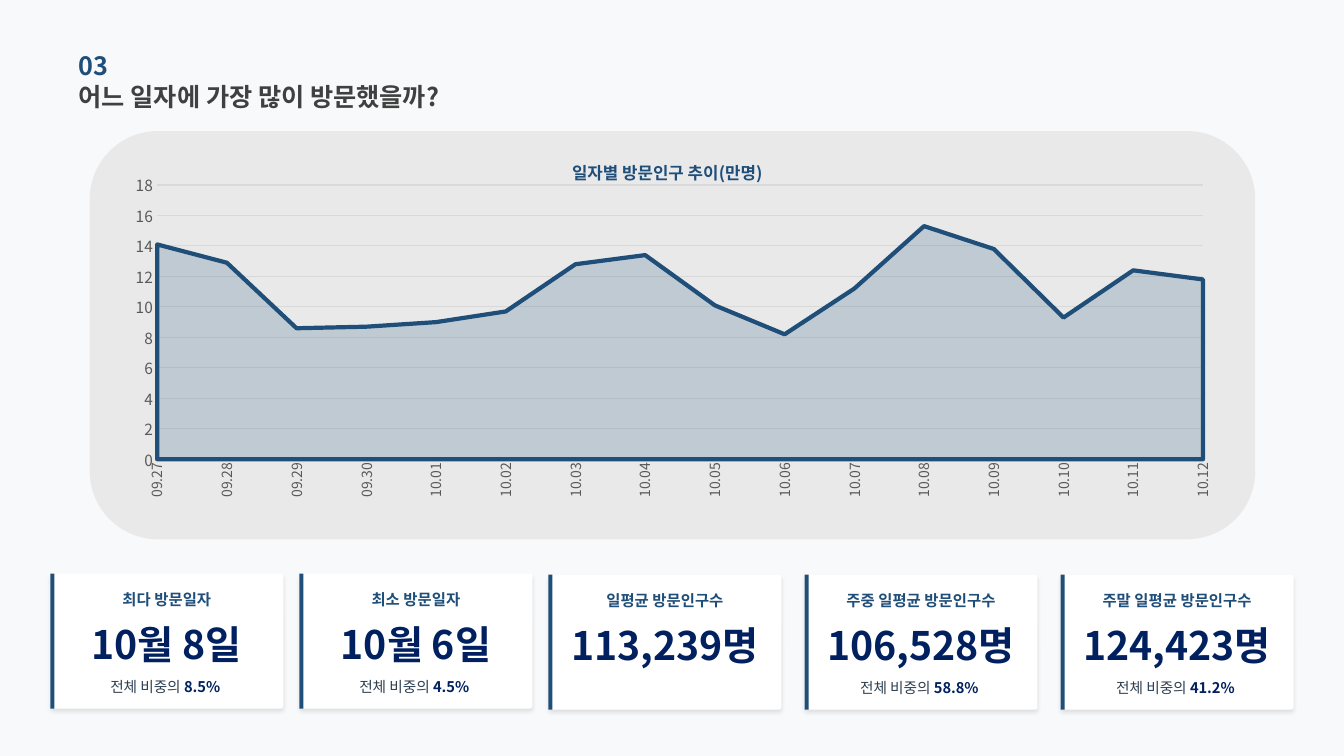
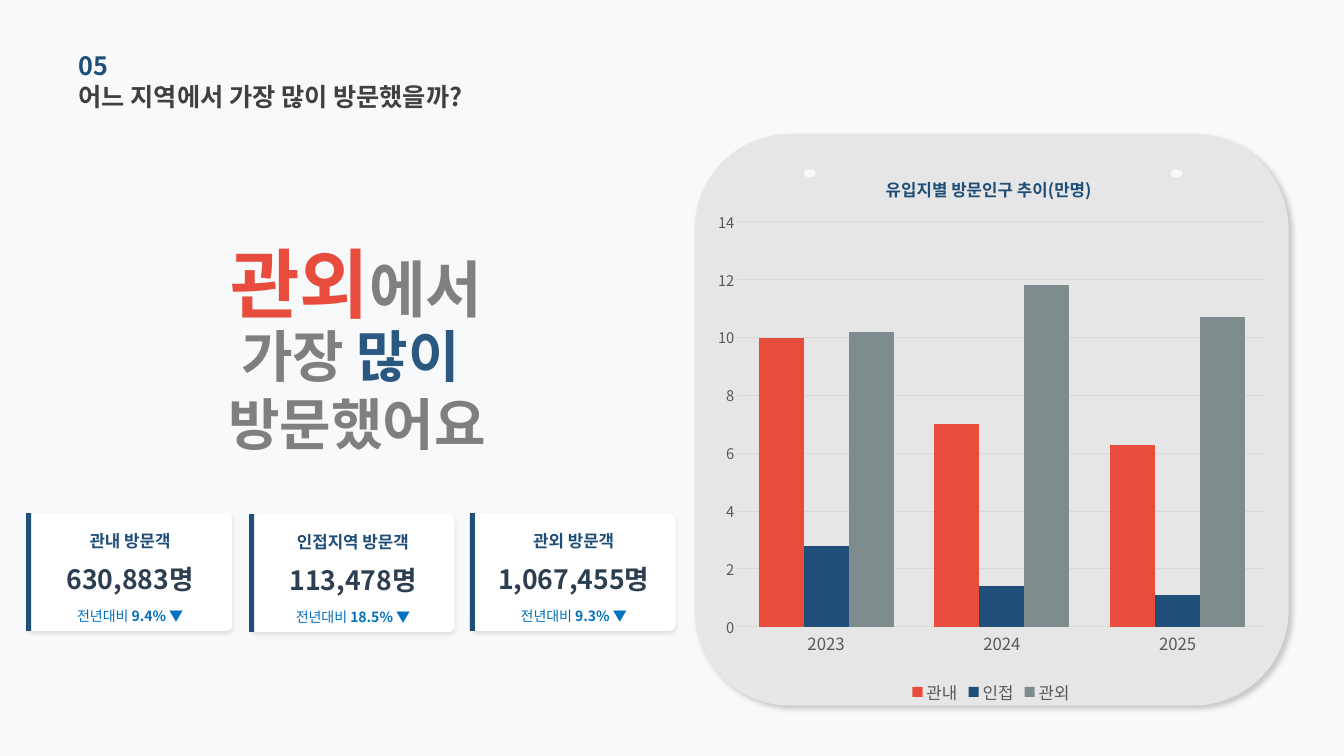
from lxml import etree
from pptx import Presentation
from pptx import util as u
from pptx.chart.data import CategoryChartData
from pptx.dml.color import RGBColor
from pptx.enum import chart as ch, shapes, text
from pptx.oxml.ns import qn

PX = 9144  # 100 px to the inch
FONT = "Noto Sans CJK KR"
PAPER = RGBColor(0xF8, 0xF9, 0xFA)
WHITE = RGBColor(0xFF, 0xFF, 0xFF)
BLUE = RGBColor(0x1F, 0x4E, 0x79)
NAVY = RGBColor(0x00, 0x20, 0x60)
SKY = RGBColor(0x00, 0x70, 0xC0)
STEEL = RGBColor(0x2B, 0x58, 0x80)
SLATE = RGBColor(0x2C, 0x3E, 0x50)
DARK = RGBColor(0x40, 0x40, 0x40)
LABEL = RGBColor(0x59, 0x59, 0x59)
GRAY = RGBColor(0x80, 0x80, 0x80)
MID = RGBColor(0x7F, 0x7F, 0x7F)
GRID = RGBColor(0xD9, 0xD9, 0xD9)
SILVER = RGBColor(0xD0, 0xCE, 0xCE)
PANEL = RGBColor(0xE7, 0xE6, 0xE6)
RED = RGBColor(0xE7, 0x4C, 0x3C)
ASH = RGBColor(0x7F, 0x8C, 0x8D)
FORM = shapes.MSO_SHAPE
MID_ALIGN = text.PP_ALIGN.CENTER


def block(slide, form, box, fill, shadow=None):
    """Draw a plain shape; shadow is (opacity %, blur pt, distance pt, angle)."""
    shape = slide.shapes.add_shape(form, *[n * PX for n in box])
    shape.shadow.inherit = False
    shape.fill.solid()
    shape.fill.fore_color.rgb = fill
    shape.line.fill.background()
    if shadow:
        alpha, blur, dist, angle = shadow
        effects = shape._element.spPr.find(qn("a:effectLst"))
        outer = etree.SubElement(
            effects, qn("a:outerShdw"), blurRad=str(u.Pt(blur)),
            dist=str(u.Pt(dist)), dir=str(angle * 60000), rotWithShape="0")
        tint = etree.SubElement(outer, qn("a:srgbClr"), val="000000")
        etree.SubElement(tint, qn("a:alpha"), val=str(alpha * 1000))
    return shape


def write(slide, box, *lines, align=None):
    """Each line is a list of runs: (words, size, colour, bold)."""
    frame = slide.shapes.add_textbox(*[n * PX for n in box]).text_frame
    frame.word_wrap = True
    frame.vertical_anchor = text.MSO_ANCHOR.MIDDLE
    frame.margin_left = frame.margin_right = 0
    frame.margin_top = frame.margin_bottom = 0
    for i, line in enumerate(lines):
        para = frame.add_paragraph() if i else frame.paragraphs[0]
        para.alignment = align
        for words, size, color, bold in line:
            run = para.add_run()
            run.text = words
            run.font.name = FONT
            run.font.size = u.Pt(size)
            run.font.bold = bold
            run.font.color.rgb = color


prs = Presentation()
prs.slide_width, prs.slide_height = 1333 * PX, 750 * PX

# Background and heading
pages = []
for num, title in [("03", "어느 일자에 가장 많이 방문했을까?"),
                   ("05", "어느 지역에서 가장 많이 방문했을까?")]:
    page = prs.slides.add_slide(prs.slide_layouts[6])
    page.background.fill.solid()
    page.background.fill.fore_color.rgb = PAPER
    write(page, (78, 75, 528, 41), [(title, 18, DARK, True)])
    write(page, (78, 44, 452, 41), [(num, 18, BLUE, True)])
    pages.append(page)
days, areas = pages

# Panels behind the charts
panel = block(days, FORM.ROUNDED_RECTANGLE, (89, 130, 1156, 405), SILVER)
tint = next(panel.fill._xPr.iter(qn("a:srgbClr")))
etree.SubElement(tint, qn("a:alpha"), val="36000")
block(areas, FORM.ROUNDED_RECTANGLE, (689, 133, 589, 567), PANEL, (20, 4, 3, 45))
for x in (797, 1161):
    block(areas, FORM.OVAL, (x, 168, 12, 8), PAPER)

# Headline
write(areas, (139, 256, 429, 48),
      [("관외", 54, RED, True), ("에서", 44, GRAY, True)], align=MID_ALIGN)
write(areas, (78, 344, 552, 84),
      [("가장", 40, MID, True), (" 많이 ", 40, STEEL, True)],
      [("방문했어요", 40, MID, True)], align=MID_ALIGN)

# Number cards
share, change = "전체 비중의 ", "전년대비 "
sets = [
    dict(page=days, wide=231, high=134, curve=0.018, bar=(0, 4),
         rows=[(15, 22, 11, BLUE), (51, 38, 28, NAVY), (102, 21, 10.5, SLATE)],
         mark=NAVY,
         cards=[(50, 569, "최다 방문일자", "10월 8일", share, "8.5% "),
                (297, 569, "최소 방문일자", "10월 6일", share, "4.5% "),
                (544, 570, "일평균 방문인구수", "113,239명", "", ""),
                (798, 570, "주중 일평균 방문인구수", "106,528명", share, "58.8% "),
                (1052, 570, "주말 일평균 방문인구수", "124,423명", share, "41.2% ")]),
    dict(page=areas, wide=202, high=117, curve=0.048, bar=(-2, 5),
         rows=[(16, 22, 12, BLUE), (48, 34, 19, SLATE), (92, 20, 10, SKY)],
         mark=SKY,
         cards=[(28, 509, "관내 방문객", "630,883명", change, "9.4% ▼"),
                (249, 510, "인접지역 방문객", "113,478명", change, "18.5% ▼"),
                (468, 509, "관외 방문객", "1,067,455명", change, "9.3% ▼")]),
]
for kit in sets:
    page, wide, high = kit["page"], kit["wide"], kit["high"]
    shift, thick = kit["bar"]
    for x, y, name, count, note, rate in kit["cards"]:
        card = block(page, FORM.ROUNDED_RECTANGLE, (x, y, wide, high), WHITE,
                     (10, 3, 2, 90))
        card.adjustments[0] = kit["curve"]
        block(page, FORM.RECTANGLE, (x + shift, y, thick, high), BLUE)
        for words, (down, tall, size, color) in zip((name, count, note), kit["rows"]):
            if not words:
                continue
            runs = [(words, size, color, words != note)]
            if words == note:
                runs.append((rate, size, kit["mark"], True))
            write(page, (x, y + down, wide, tall), runs, align=MID_ALIGN)

# Charts
dates = [f"09.{d}" for d in range(27, 31)] + [f"10.{d:02}" for d in range(1, 13)]
plans = [
    dict(page=days, kind=ch.XL_CHART_TYPE.AREA, box=(108, 133, 1113, 408),
         title="일자별 방문인구 추이(만명)", spot=(0.41, 0.05),
         plot=(0.043, 0.124, 0.932, 0.667), top=18, sizes=(10, 11), cats=dates,
         rows=[("Series 1", BLUE, (14.1, 12.9, 8.6, 8.7, 9, 9.7, 12.8, 13.4, 10.1,
                                   8.2, 11.2, 15.3, 13.8, 9.3, 12.4, 11.8))]),
    dict(page=areas, kind=ch.XL_CHART_TYPE.COLUMN_CLUSTERED, box=(700, 148, 566, 555),
         title="유입지별 방문인구 추이(만명)", spot=(0.31, 0.04),
         plot=(0.057, 0.13, 0.924, 0.724), top=14, sizes=(12, 10.5),
         cats=["2023", "2024", "2025"],
         rows=[("관내", RED, (10, 7, 6.3)), ("인접", BLUE, (2.8, 1.4, 1.1)),
               ("관외", ASH, (10.2, 11.8, 10.7))]),
]
charts = []
for plan in plans:
    data = CategoryChartData()
    data.categories = plan["cats"]
    for name, color, vals in plan["rows"]:
        data.add_series(name, vals)
    box = [n * PX for n in plan["box"]]
    chart = plan["page"].shapes.add_chart(plan["kind"], *box, data).chart
    charts.append(chart)
    chart.font.name = FONT
    chart.font.size = u.Pt(10)
    chart.has_legend = False

    chart.has_title = True
    run = chart.chart_title.text_frame.paragraphs[0].add_run()
    run.text = plan["title"]
    run.font.name = FONT
    run.font.size = u.Pt(12)
    run.font.bold = True
    run.font.color.rgb = BLUE

    # Fixed places for the title and the plot
    area = chart._chartSpace.find(qn("c:chart")).find(qn("c:plotArea"))
    for node, index, place in [(chart.chart_title._element, 1, plan["spot"]),
                               (area, 0, plan["plot"])]:
        old = node.find(qn("c:layout"))
        if old is not None:
            node.remove(old)
        layout = etree.Element(qn("c:layout"))
        node.insert(index, layout)
        manual = etree.SubElement(layout, qn("c:manualLayout"))
        if node is area:
            etree.SubElement(manual, qn("c:layoutTarget"), val="inner")
        for key in ("xMode", "yMode"):
            etree.SubElement(manual, qn("c:" + key), val="edge")
        for key, part in zip("xywh", place):
            etree.SubElement(manual, qn("c:" + key), val=str(part))

    cat, val = chart.category_axis, chart.value_axis
    for axis, size in zip((cat, val), plan["sizes"]):
        axis.major_tick_mark = axis.minor_tick_mark = ch.XL_TICK_MARK.NONE
        font = axis.tick_labels.font
        font.name = FONT
        font.size = u.Pt(size)
        font.color.rgb = LABEL
    val.minimum_scale, val.maximum_scale, val.major_unit = 0, plan["top"], 2
    val.tick_labels.number_format = "General"
    val.tick_labels.number_format_is_linked = False
    val.format.line.fill.background()
    val.has_major_gridlines = True
    cat.has_major_gridlines = False
    for line in (cat.format.line, val.major_gridlines.format.line):
        line.color.rgb = GRID
        line.width = u.Pt(0.75)

    for row, (name, color, vals) in zip(chart.plots[0].series, plan["rows"]):
        row.format.fill.solid()
        row.format.fill.fore_color.rgb = color

trend, bars = charts
look = trend.plots[0].series[0].format
tint = next(look.fill._xPr.iter(qn("a:srgbClr")))
etree.SubElement(tint, qn("a:alpha"), val="20000")
look.line.color.rgb = BLUE
look.line.width = u.Pt(3)
trend.value_axis._element.find(qn("c:crossBetween")).set("val", "midCat")
turn = trend.category_axis._element.find(qn("c:txPr")).find(qn("a:bodyPr"))
turn.set("rot", "-5400000")
turn.set("vert", "horz")

bars.plots[0].gap_width = 90
bars.plots[0].overlap = 0
bars.plots[0].vary_by_categories = False
bars.has_legend = True
bars.legend.position = ch.XL_LEGEND_POSITION.BOTTOM
bars.legend.include_in_layout = False
bars.legend.font.name = FONT
bars.legend.font.size = u.Pt(12)
bars.legend.font.color.rgb = LABEL

# Korean letters take the same font as Latin ones
for root in [p._element for p in pages] + [c._chartSpace for c in charts]:
    for latin in list(root.iter(qn("a:latin"))):
        latin.addnext(etree.Element(qn("a:ea"), typeface=FONT))

prs.save("out.pptx")
